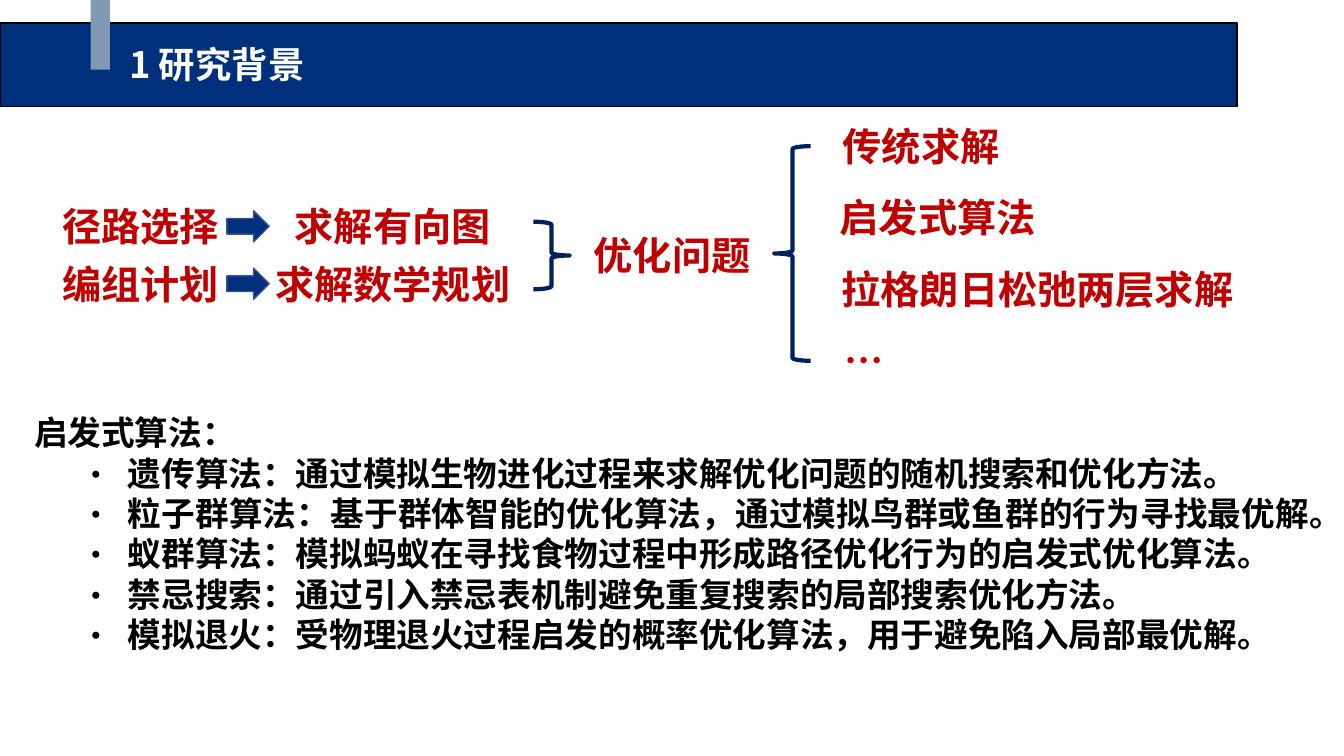
from dataclasses import dataclass
from lxml import etree
from pptx import Presentation
from pptx.dml.color import RGBColor
from pptx.enum.shapes import MSO_SHAPE
from pptx.enum.text import MSO_ANCHOR, PP_ALIGN
from pptx.oxml.ns import qn
from pptx.util import Inches, Pt

RECT = MSO_SHAPE.RECTANGLE
ARROW = MSO_SHAPE.RIGHT_ARROW
BRACE = MSO_SHAPE.LEFT_BRACE
TOP = MSO_ANCHOR.TOP
LEFT, CENTER, JUSTIFY = PP_ALIGN.LEFT, PP_ALIGN.CENTER, PP_ALIGN.JUSTIFY

FONT = "Noto Sans CJK SC"
NAVY, RED = "002F7C", "C00000"
ROWS = (1.96, 2.53)
STEP = 0.71


@dataclass
class Label:
    text: str
    left: float
    top: float
    width: float


@dataclass
class Shape:
    kind: MSO_SHAPE
    left: float
    top: float
    width: float
    height: float
    fill: str = ""
    line: str = ""
    weight: float = 1
    flip: bool = False


BAR = Shape(RECT, 0, 0.23, 12.27, 0.83, NAVY, "000000")
SHAPES = [
    Shape(RECT, 0.9, 0, 0.19, 0.69, "8299B4"),
    *(Shape(ARROW, 2.25, top + 0.13, 0.42, 0.31, NAVY, "325491") for top in ROWS),
    Shape(BRACE, 5.29, 2.2, 0.36, 0.67, line="002060", weight=3, flip=True),
    Shape(BRACE, 7.68, 1.45, 0.36, 2.13, line="002060", weight=3),
]

METHODS = [
    ("传统求解", 1.85),
    ("启发式算法", 2.18),
    ("拉格朗日松弛两层求解", 4.16),
    ("…", 0.73),
]
LABELS = [
    Label("径路选择", 0.49, ROWS[0], 1.81),
    Label("求解有向图", 2.78, ROWS[0], 2.23),
    Label("编组计划", 0.49, ROWS[1], 1.81),
    Label("求解数学规划", 2.62, ROWS[1], 2.55),
    Label("优化问题", 5.74, 2.25, 1.85),
    *(Label(text, 8.21, 1.16 + i * STEP, width)
      for i, (text, width) in enumerate(METHODS)),
]

HEAD = "启发式算法："
ITEMS = [
    "遗传算法：通过模拟生物进化过程来求解优化问题的随机搜索和优化方法。",
    "粒子群算法：基于群体智能的优化算法，通过模拟鸟群或鱼群的行为寻找最优解。",
    "蚁群算法：模拟蚂蚁在寻找食物过程中形成路径优化行为的启发式优化算法。",
    "禁忌搜索：通过引入禁忌表机制避免重复搜索的局部搜索优化方法。",
    "模拟退火：受物理退火过程启发的概率优化算法，用于避免陷入局部最优解。",
]


def color(code: str) -> RGBColor:
    return RGBColor.from_string(code)


def place(shape, left: float, top: float, width: float, height: float) -> None:
    shape.left, shape.top = Inches(left), Inches(top)
    shape.width, shape.height = Inches(width), Inches(height)


def style(frame, size: float, code: str, align: PP_ALIGN) -> None:
    frame.word_wrap = True
    frame.vertical_anchor = TOP
    for para in frame.paragraphs:
        para.alignment = align
        for run in para.runs:
            font = run.font
            font.size, font.bold, font.name = Pt(size), True, FONT
            font.color.rgb = color(code)
            east = etree.SubElement(font._element, qn("a:ea"))
            east.set("typeface", FONT)


def draw(slide, item: Shape):
    shape = slide.shapes.add_shape(
        item.kind, Inches(item.left), Inches(item.top),
        Inches(item.width), Inches(item.height))
    shape.shadow.inherit = False
    if item.fill:
        shape.fill.solid()
        shape.fill.fore_color.rgb = color(item.fill)
    else:
        shape.fill.background()
    if item.line:
        shape.line.color.rgb = color(item.line)
        shape.line.width = Pt(item.weight)
    else:
        shape.line.fill.background()
    if item.flip:
        shape._element.spPr.find(qn("a:xfrm")).set("flipH", "1")
    return shape


def write(slide, item: Label) -> None:
    box = slide.shapes.add_textbox(
        Inches(item.left), Inches(item.top), Inches(item.width), Inches(0.57))
    box.text_frame.text = item.text
    style(box.text_frame, 28, RED, CENTER)


def bullet(para) -> None:
    props = para._p.get_or_add_pPr()
    props.set("marL", str(Inches(0.93)))
    props.set("indent", str(-Inches(0.48)))
    etree.SubElement(props, qn("a:buFont")).set("typeface", FONT)
    etree.SubElement(props, qn("a:buChar")).set("char", "·")


def notes(slide) -> None:
    box = slide.shapes.add_textbox(
        Inches(0.24), Inches(4.04), Inches(12.85), Inches(2.52))
    frame = box.text_frame
    frame.text = HEAD
    for item in ITEMS:
        para = frame.add_paragraph()
        para.text = item
        bullet(para)
    style(frame, 24, "000000", JUSTIFY)


def title(slide) -> None:
    head = slide.shapes.title
    place(head, 1.28, 0.42, 10.98, 0.44)
    frame = head.text_frame
    frame.text = "1 研究背景"
    frame.margin_left = frame.margin_right = 0
    frame.margin_top = frame.margin_bottom = 0
    style(frame, 26, "FFFFFF", LEFT)


def main() -> None:
    deck = Presentation()
    deck.slide_width, deck.slide_height = Inches(13.33), Inches(7.5)
    slide = deck.slides.add_slide(deck.slide_layouts[5])
    bar = draw(slide, BAR)
    slide.shapes.title._element.addprevious(bar._element)
    title(slide)
    for item in SHAPES:
        draw(slide, item)
    for label in LABELS:
        write(slide, label)
    notes(slide)
    deck.save("out.pptx")


if __name__ == "__main__":
    main()
